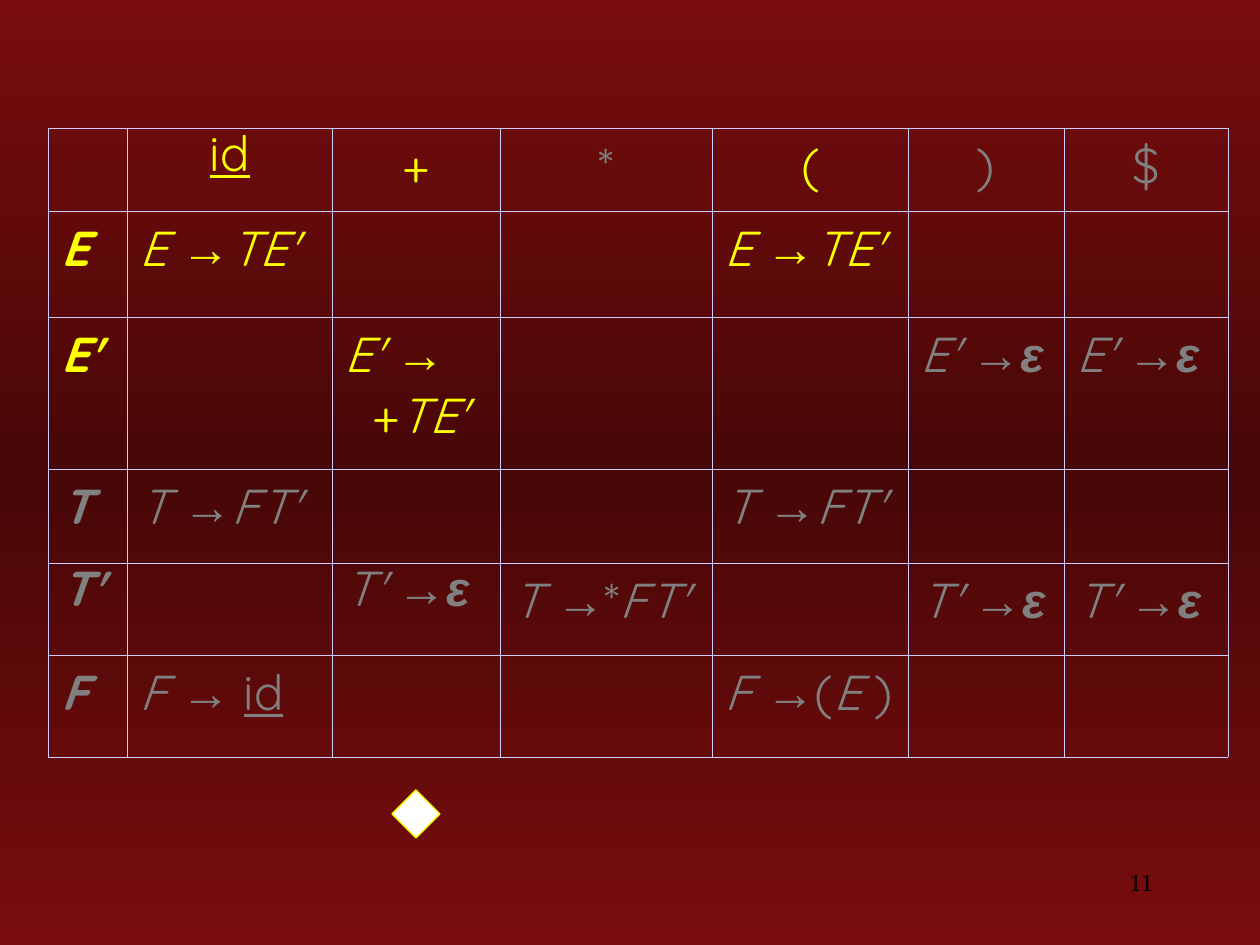
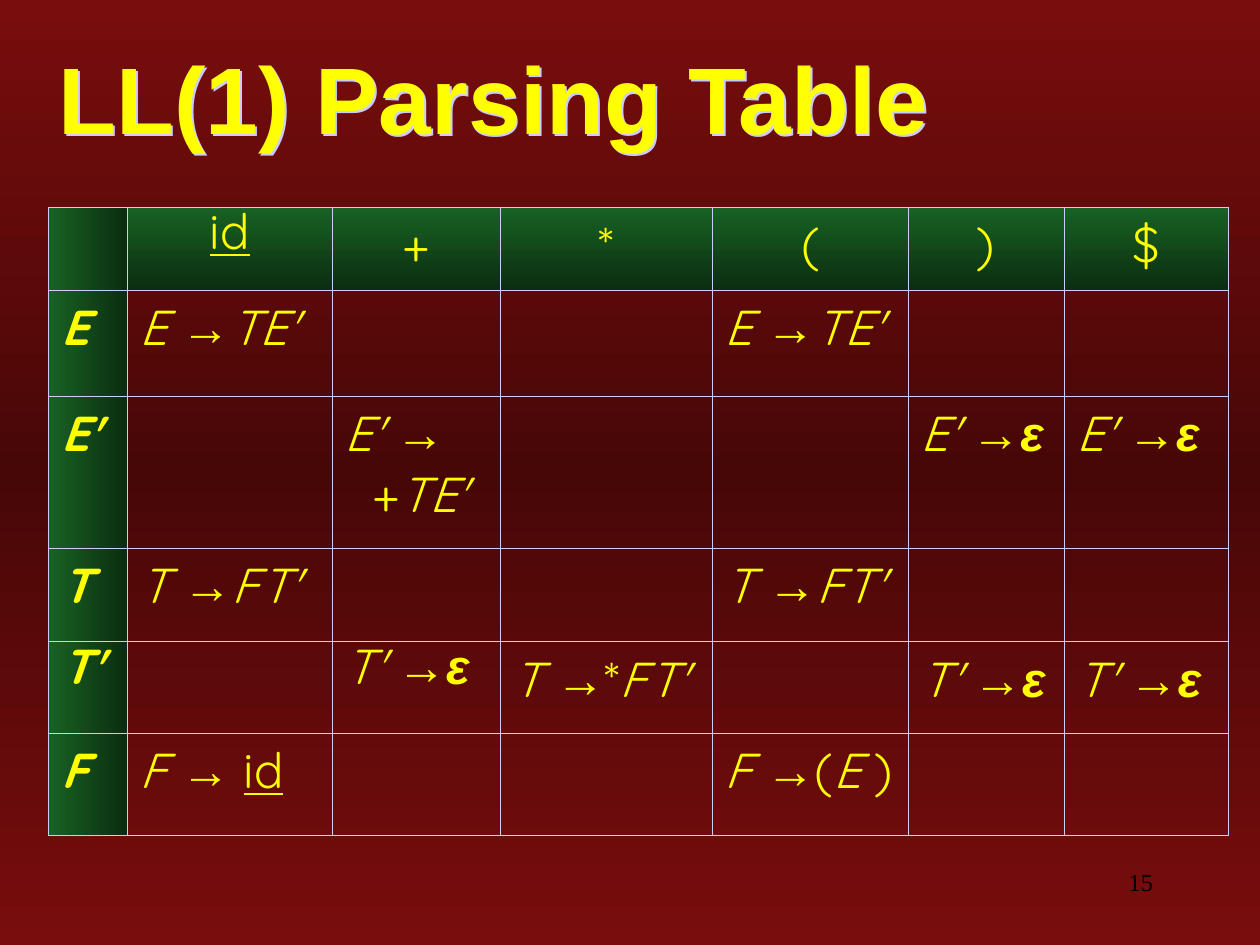
from itertools import product

from lxml.etree import SubElement
from pptx import Presentation
from pptx.dml.color import RGBColor
from pptx.enum.shapes import MSO_SHAPE
from pptx.enum.text import MSO_ANCHOR, PP_ALIGN
from pptx.oxml.ns import qn
from pptx.util import Pt

YELLOW, GREY, BLACK, WHITE = "FFFF00", "808080", "000000", "FFFFFF"
RULE = "CCCCFF"
BACKDROP = [(0, "790D0D"), (50, "480707"), (100, "790D0D")]
HEADER_GREEN = [(0, "186224"), (100, "0B2D10")]
SYMBOL_FONT, ARROW_FONT, NUMBER_FONT = "Quicksand", "Arial", "Times New Roman"

GRAMMAR = [
    ["", "id", "+", "*", "(", ")", "$"],
    ["E", "E →TE'", "", "", "E →TE'", "", ""],
    ["E'", "", "E' →\n+TE'", "", "", "E' →ε", "E' →ε"],
    ["T", "T →FT'", "", "", "T →FT'", "", ""],
    ["T'", "", "T' →ε", "T →*FT'", "", "T' →ε", "T' →ε"],
    ["F", "F → id", "", "", "F →(E )", "", ""],
]
COLUMN_WIDTHS = [45.2, 117.1, 96, 121.1, 112, 89.1, 93.7]
ROW_HEIGHTS = [47.5, 60.5, 87, 53.5, 52.5, 58.3]
TIGHT_CELLS = {(0, 1), (4, 0), (4, 2)}
DISCUSSED_CELLS = {(0, 1), (0, 2), (0, 4), (1, 0), (1, 1), (1, 4), (2, 0), (2, 2)}
ALL_CELLS = set(product(range(len(ROW_HEIGHTS)), range(len(COLUMN_WIDTHS))))


def color(hex_code):
    return RGBColor.from_string(hex_code)


def add_solid(parent, hex_code):
    solid = SubElement(parent, qn("a:solidFill"))
    SubElement(solid, qn("a:srgbClr"), val=hex_code)


def set_gradient(fill, owner, stops, angle):
    fill.gradient()
    gradient = owner.find(".//" + qn("a:gradFill"))
    for child in list(gradient):
        gradient.remove(child)
    stop_list = SubElement(gradient, qn("a:gsLst"))
    for position, hex_code in stops:
        stop = SubElement(stop_list, qn("a:gs"), pos=str(position * 1000))
        SubElement(stop, qn("a:srgbClr"), val=hex_code)
    SubElement(gradient, qn("a:lin"), ang=str(angle * 60000), scaled="0")


def add_text(paragraph, text, font=SYMBOL_FONT, size=28, hex_code=YELLOW,
             bold=False, italic=False, underline=False):
    run = paragraph.add_run()
    run.text = text
    run.font.name = font
    run.font.size = Pt(size)
    run.font.color.rgb = color(hex_code)
    run.font.bold = bold
    run.font.italic = italic
    run.font.underline = underline


def symbol_format(symbol):
    if symbol == "→":
        return {"font": ARROW_FONT, "bold": True}
    if symbol == "ε":
        return {"font": ARROW_FONT, "bold": True, "italic": True}
    if symbol.islower():
        return {"underline": True}
    return {"italic": symbol.isupper() or symbol == "'"}


def split_symbols(rule):
    pieces = []
    for symbol in rule:
        style = pieces[-1][1] if symbol == " " else symbol_format(symbol)
        if pieces and pieces[-1][1] == style:
            pieces[-1][0] += symbol
        else:
            pieces.append([symbol, style])
    return pieces


def write_rule(cell, rule, hex_code, heading, centred, tight):
    for index, line in enumerate(rule.split("\n")):
        frame = cell.text_frame
        paragraph = frame.add_paragraph() if index else frame.paragraphs[0]
        if index:
            paragraph._p.get_or_add_pPr().set("marL", str(Pt(15.5)))
        if centred:
            paragraph.alignment = PP_ALIGN.CENTER
        if tight:
            paragraph.line_spacing = 0.75
        for text, style in split_symbols(line):
            add_text(paragraph, text, hex_code=hex_code,
                     **(style | {"bold": True} if heading else style))


def set_borders(cell):
    properties = cell._tc.get_or_add_tcPr()
    for side in ("lnL", "lnR", "lnT", "lnB"):
        border = SubElement(properties, qn("a:" + side), w=str(Pt(0.45)))
        add_solid(border, RULE)


def add_parsing_table(slide, top, yellow_cells, green_headers):
    table = slide.shapes.add_table(
        len(ROW_HEIGHTS), len(COLUMN_WIDTHS), Pt(27.6), Pt(top),
        Pt(sum(COLUMN_WIDTHS)), Pt(sum(ROW_HEIGHTS))).table
    table.first_row = table.horz_banding = False
    for column, width in zip(table.columns, COLUMN_WIDTHS):
        column.width = Pt(width)
    for row, height in zip(table.rows, ROW_HEIGHTS):
        row.height = Pt(height)
    for row, column in sorted(ALL_CELLS):
        cell = table.cell(row, column)
        set_borders(cell)
        if green_headers and column == 0:
            set_gradient(cell.fill, cell._tc, HEADER_GREEN[::1], 0)
        elif green_headers and row == 0:
            set_gradient(cell.fill, cell._tc, HEADER_GREEN, 90)
        else:
            cell.fill.background()
        rule = GRAMMAR[row][column]
        if rule:
            write_rule(cell, rule,
                       YELLOW if (row, column) in yellow_cells else GREY,
                       heading=column == 0, centred=row == 0,
                       tight=(row, column) in TIGHT_CELLS)


def add_box(slide, left, top, width, height):
    box = slide.shapes.add_textbox(Pt(left), Pt(top), Pt(width), Pt(height))
    box.text_frame.word_wrap = True
    return box


def add_title(slide, text):
    title = add_box(slide, 26.6, 25.2, 720, 60)
    title.text_frame.vertical_anchor = MSO_ANCHOR.MIDDLE
    add_text(title.text_frame.paragraphs[0], text, font=ARROW_FONT, size=54, bold=True)
    effects = SubElement(title._element.spPr, qn("a:effectLst"))
    shadow = SubElement(effects, qn("a:outerShdw"), dist=str(Pt(1.5)),
                        dir="2700000", algn="ctr", rotWithShape="0")
    SubElement(shadow, qn("a:srgbClr"), val=RULE)


def add_page_number(slide, number):
    paragraph = add_box(slide, 516, 492, 150, 36).text_frame.paragraphs[0]
    paragraph.alignment = PP_ALIGN.RIGHT
    add_text(paragraph, str(number), font=NUMBER_FONT, size=14, hex_code=BLACK)


def add_diamond(slide):
    diamond = slide.shapes.add_shape(
        MSO_SHAPE.DIAMOND, Pt(224), Pt(451.4), Pt(27.4), Pt(27.4))
    diamond.shadow.inherit = False
    diamond.fill.solid()
    diamond.fill.fore_color.rgb = color(WHITE)
    diamond.line.color.rgb = color(YELLOW)
    diamond.line.width = Pt(0.75)


def add_slide(deck, number):
    slide = deck.slides.add_slide(deck.slide_layouts[6])
    set_gradient(slide.background.fill, slide.element, BACKDROP, 90)
    add_page_number(slide, number)
    return slide


def main():
    deck = Presentation()
    deck.slide_width, deck.slide_height = Pt(720), Pt(540)

    progress = add_slide(deck, 11)
    add_parsing_table(progress, 73.4, DISCUSSED_CELLS, green_headers=False)
    add_diamond(progress)

    finished = add_slide(deck, 15)
    add_title(finished, "LL(1) Parsing Table")
    add_parsing_table(finished, 118.3, ALL_CELLS, green_headers=True)

    deck.save("out.pptx")


if __name__ == "__main__":
    main()
